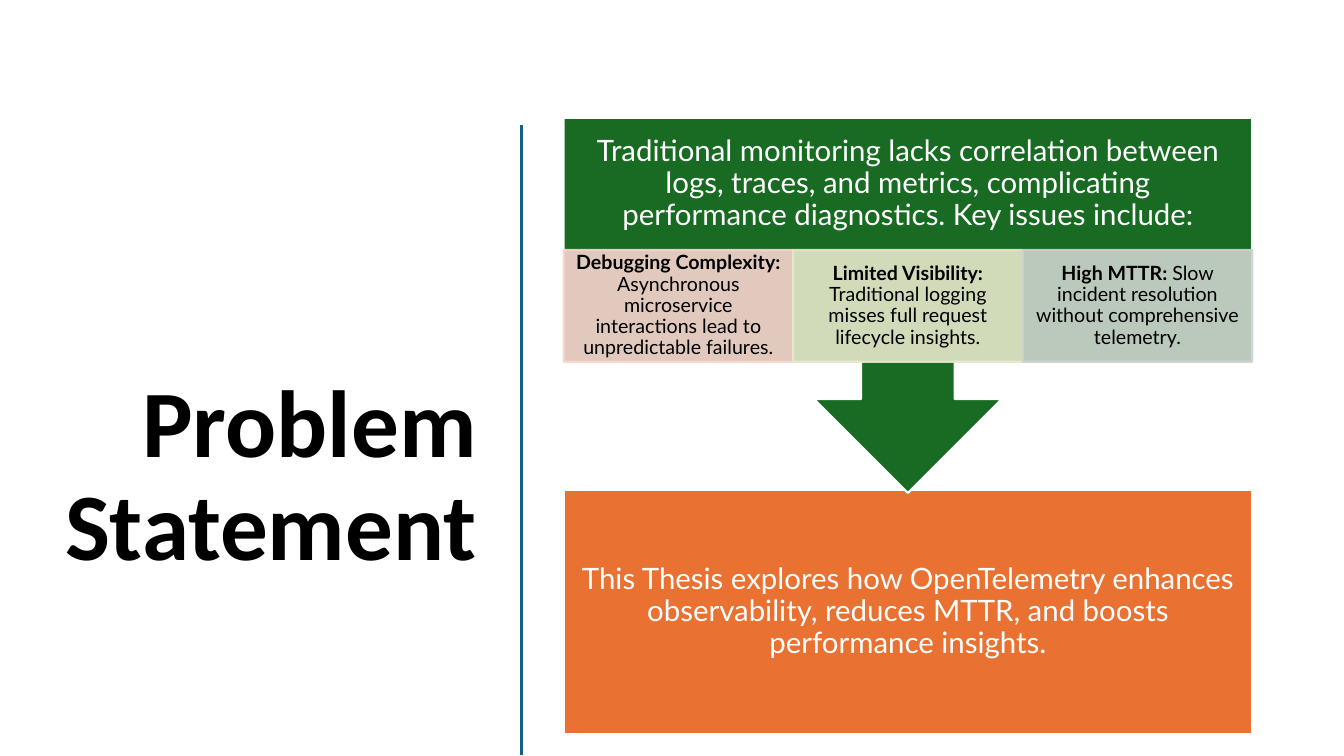
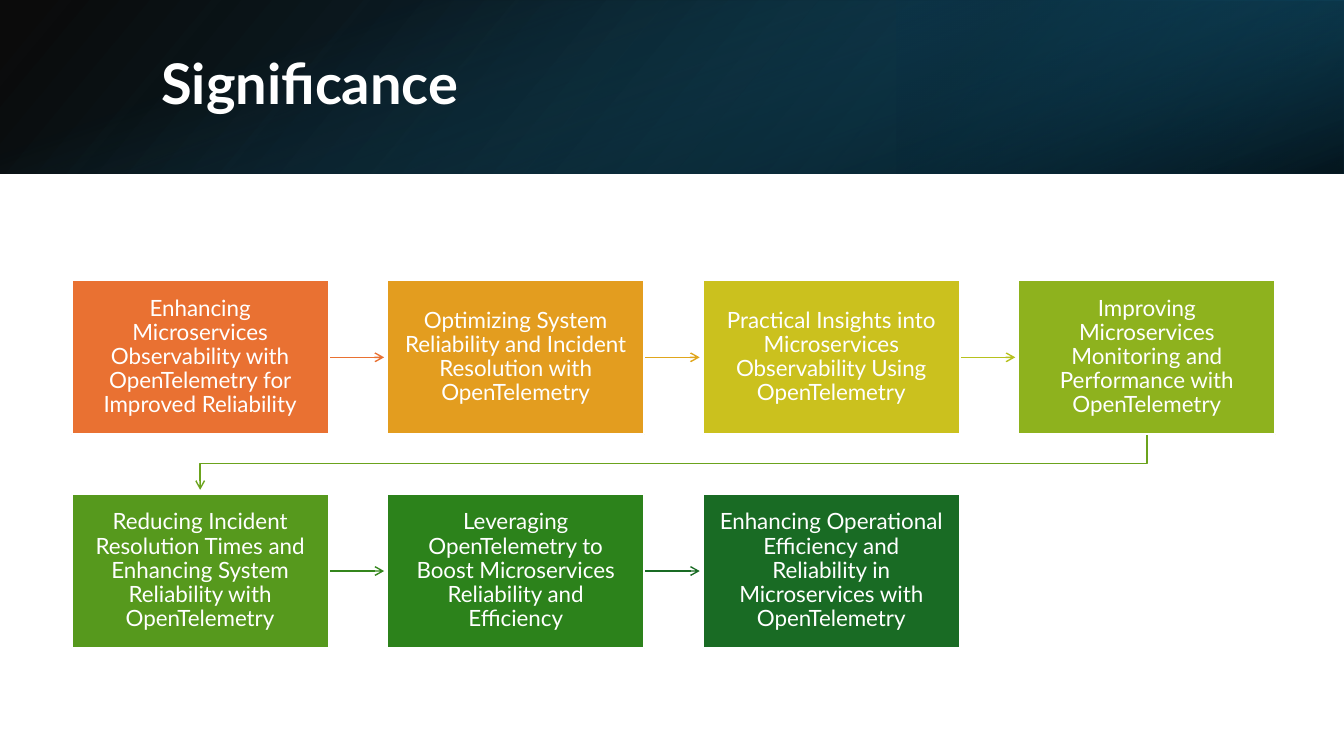
from lxml import etree
from pptx import Presentation
from pptx.dml.color import RGBColor
from pptx.enum.shapes import MSO_CONNECTOR, MSO_SHAPE
from pptx.enum.text import MSO_ANCHOR, MSO_AUTO_SIZE, PP_ALIGN
from pptx.oxml import parse_xml
from pptx.oxml.ns import nsdecls, qn
from pptx.util import Inches, Pt

RECT = MSO_SHAPE.RECTANGLE
CALLOUT = MSO_SHAPE.DOWN_ARROW_CALLOUT
STRAIGHT = MSO_CONNECTOR.STRAIGHT
MIDDLE = MSO_ANCHOR.MIDDLE
NO_FIT = MSO_AUTO_SIZE.NONE
LEFT, CENTER, RIGHT = PP_ALIGN.LEFT, PP_ALIGN.CENTER, PP_ALIGN.RIGHT

BODY_FONT = "Lato"
WHITE, BLACK = "FFFFFF", "000000"
TEAL, ORANGE, GREEN = "156082", "E97132", "196B24"
LINE_SPACING = 0.9


def rgb(value):
    return RGBColor.from_string(value)


def add_box(slide, kind, place, fill, outline, insets, runs, size, ink):
    """Filled box with centred text; runs are (text, bold) pairs."""
    box = slide.shapes.add_shape(kind, *map(Inches, place))
    box.shadow.inherit = False
    box.fill.solid()
    box.fill.fore_color.rgb = rgb(fill)
    box.line.color.rgb = rgb(outline)
    box.line.width = Pt(1.5)
    frame = box.text_frame
    frame.word_wrap = True
    frame.vertical_anchor = MIDDLE
    (frame.margin_left, frame.margin_top,
     frame.margin_right, frame.margin_bottom) = map(Inches, insets)
    paragraph = frame.paragraphs[0]
    paragraph.alignment = CENTER
    paragraph.line_spacing = LINE_SPACING
    for text, bold in runs:
        run = paragraph.add_run()
        run.text = text
        run.font.name = BODY_FONT
        run.font.size = Pt(size)
        run.font.bold = bold
        run.font.color.rgb = rgb(ink)
    return box


prs = Presentation()
prs.slide_width, prs.slide_height = Inches(13.33), Inches(7.5)

# Slides and their titles
titles = [
    ("Problem Statement", (0.52, 2.2, 4.31, 5.08), RIGHT, "Calibri", 68, BLACK),
    ("Significance", (1.5, 0.38, 10.98, 0.96), LEFT, BODY_FONT, 40, WHITE),
]
for text, place, align, font, size, ink in titles:
    slide = prs.slides.add_slide(prs.slide_layouts[5])
    title = slide.shapes.title
    title.left, title.top, title.width, title.height = map(Inches, place)
    title.text_frame.auto_size = NO_FIT
    title.text_frame.word_wrap = True
    title.text_frame.vertical_anchor = MIDDLE
    paragraph = title.text_frame.paragraphs[0]
    paragraph.alignment = align
    paragraph.line_spacing = LINE_SPACING
    run = paragraph.add_run()
    run.text = text
    run.font.name = font
    run.font.size = Pt(size)
    run.font.bold = True
    run.font.color.rgb = rgb(ink)
problem, significance = prs.slides

# Problem: divider beside the title
divider = problem.shapes.add_connector(
    STRAIGHT, Inches(5.17), Inches(1.24), Inches(5.17), Inches(7.49))
divider.line.color.rgb = rgb(TEAL)
divider.line.width = Pt(2)

# Problem: thesis aim, with the callout pointing down to it
PANEL_LEFT, PANEL_WIDTH = 5.59, 6.83
add_box(problem, RECT, (PANEL_LEFT, 4.86, PANEL_WIDTH, 2.42), ORANGE, WHITE,
        (0.16, 0.16, 0.16, 0.16),
        [("This Thesis explores how OpenTelemetry enhances observability, "
          "reduces MTTR, and boosts performance insights.", False)], 21, WHITE)
# The deep bottom inset keeps the text above the row of issues
add_box(problem, CALLOUT, (PANEL_LEFT, 1.17, PANEL_WIDTH, 3.72), GREEN, WHITE,
        (0.16, 0.16, 0.16, 1.27),
        [("Traditional monitoring lacks correlation between logs, traces, and "
          "metrics, complicating performance diagnostics. Key issues include:",
          False)], 21, WHITE)

# Problem: row of key issues
issues = [
    ("Debugging Complexity: ", "Asynchronous microservice interactions lead to "
     "unpredictable failures.", "F7D5CE"),
    ("Limited Visibility: ", "Traditional logging misses full request "
     "lifecycle insights.", "E5E8CA"),
    ("High MTTR: ", "Slow incident resolution without comprehensive "
     "telemetry.", "CCD4CD"),
]
issue_width = PANEL_WIDTH / len(issues)
for column, (name, detail, tint) in enumerate(issues):
    issue = add_box(
        problem, RECT,
        (PANEL_LEFT + column * issue_width, 2.48, issue_width, 1.11),
        tint, tint, (0.11, 0.02, 0.11, 0.02),
        [(name, True), (detail, False)], 14, BLACK)
    for colour in issue.element.spPr.iter(qn("a:srgbClr")):
        etree.SubElement(colour, qn("a:alpha")).set("val", "90000")

# Significance: header band of layered gradients
# place, rotation, mirrored, angle, stops as (position %, colour, opacity %)
layers = [
    ((0, 0, 13.33, 1.72), 0, True, 140, [(0, BLACK, 96), (100, "104862", 100)]),
    ((8.89, 0, 4.44, 1.72), 180, True, 320, [(19, "0B3041", 68), (100, TEAL, 79)]),
    ((5.8, -5.8, 1.72, 13.33), 90, False, 340, [(23, TEAL, 0), (99, BLACK, 74)]),
]
for place, rotation, mirrored, angle, stops in layers:
    layer = significance.shapes.add_shape(RECT, *map(Inches, place))
    layer.shadow.inherit = False
    layer.line.fill.background()
    layer.rotation = rotation
    properties = layer.element.spPr
    if mirrored:
        properties.find(qn("a:xfrm")).set("flipH", "1")
    stop_xml = "".join(
        f'<a:gs pos="{position * 1000}"><a:srgbClr val="{colour}">'
        f'<a:alpha val="{opacity * 1000}"/></a:srgbClr></a:gs>'
        for position, colour, opacity in stops)
    properties.find(qn("a:prstGeom")).addnext(parse_xml(
        f'<a:gradFill rotWithShape="1" {nsdecls("a")}><a:gsLst>{stop_xml}</a:gsLst>'
        f'<a:lin ang="{angle * 60000}" scaled="0"/></a:gradFill>'))
heading = significance.shapes.title.element
heading.getparent().append(heading)

# Significance: steps, four to a row, each with the colour of its outgoing arrow
steps = [
    ("Enhancing Microservices Observability with OpenTelemetry for Improved "
     "Reliability", ORANGE, ORANGE),
    ("Optimizing System Reliability and Incident Resolution with OpenTelemetry",
     "E39D1F", "E0A61D"),
    ("Practical Insights into Microservices Observability Using OpenTelemetry",
     "CBC11E", "B7C11E"),
    ("Improving Microservices Monitoring and Performance with OpenTelemetry",
     "8EB21E", "6BA31D"),
    ("Reducing Incident Resolution Times and Enhancing System Reliability with "
     "OpenTelemetry", "56991D", "34861C"),
    ("Leveraging OpenTelemetry to Boost Microservices Reliability and Efficiency",
     "2C821B", GREEN),
    ("Enhancing Operational Efficiency and Reliability in Microservices with "
     "OpenTelemetry", GREEN, None),
]
COLUMNS = 4
STEP_LEFT, STEP_TOP, STEP_WIDTH, STEP_HEIGHT = 0.71, 2.78, 2.55, 1.53
COLUMN_PITCH, ROW_PITCH = 3.13, 2.12
ARROW_LENGTH = 0.55
arrows = []
for index, (text, fill, arrow_colour) in enumerate(steps):
    row, column = divmod(index, COLUMNS)
    left = STEP_LEFT + column * COLUMN_PITCH
    top = STEP_TOP + row * ROW_PITCH
    right, bottom = left + STEP_WIDTH, top + STEP_HEIGHT
    if arrow_colour:
        if column < COLUMNS - 1:
            middle = Inches(top + STEP_HEIGHT / 2)
            arrow = significance.shapes.add_connector(
                STRAIGHT, Inches(right), middle,
                Inches(right + ARROW_LENGTH), middle)
        else:
            # Turn back to the first step of the next row
            start_x = Inches(left + STEP_WIDTH / 2)
            end_x = Inches(STEP_LEFT + STEP_WIDTH / 2)
            turn_y = Inches(bottom + 0.29)
            route = significance.shapes.build_freeform(start_x, Inches(bottom))
            route.add_line_segments(
                [(start_x, turn_y), (end_x, turn_y),
                 (end_x, Inches(bottom + ARROW_LENGTH))], close=False)
            arrow = route.convert_to_shape()
            arrow.fill.background()
        arrow.line.color.rgb = rgb(arrow_colour)
        arrow.line.width = Pt(1)
        etree.SubElement(arrow.line._get_or_add_ln(),
                         qn("a:tailEnd")).set("type", "arrow")
        arrows.append(arrow)
    add_box(significance, RECT, (left, top, STEP_WIDTH, STEP_HEIGHT), fill, WHITE,
            (0.12, 0.13, 0.12, 0.13), [(text, False)], 16, WHITE)

# Lines carry no shadow
for line in [divider, *arrows]:
    etree.SubElement(line.element.spPr, qn("a:effectLst"))

prs.save("out.pptx")
